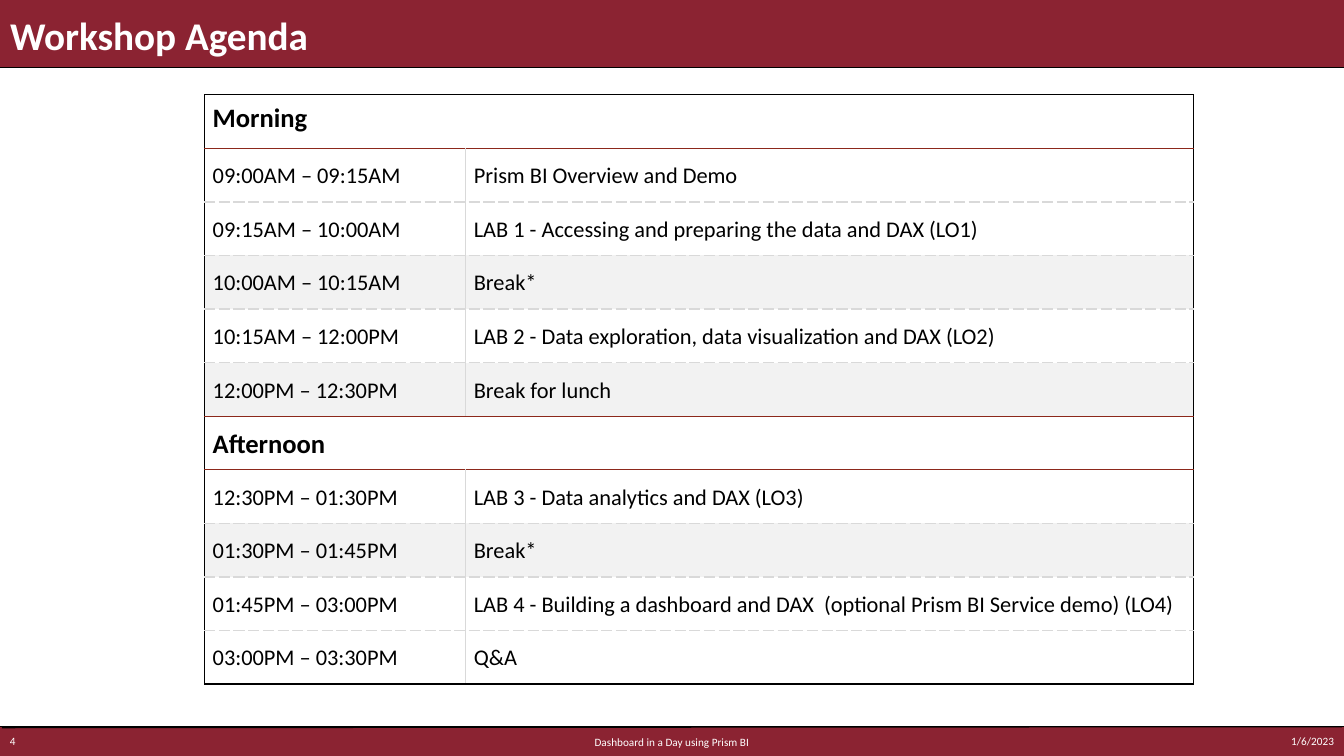
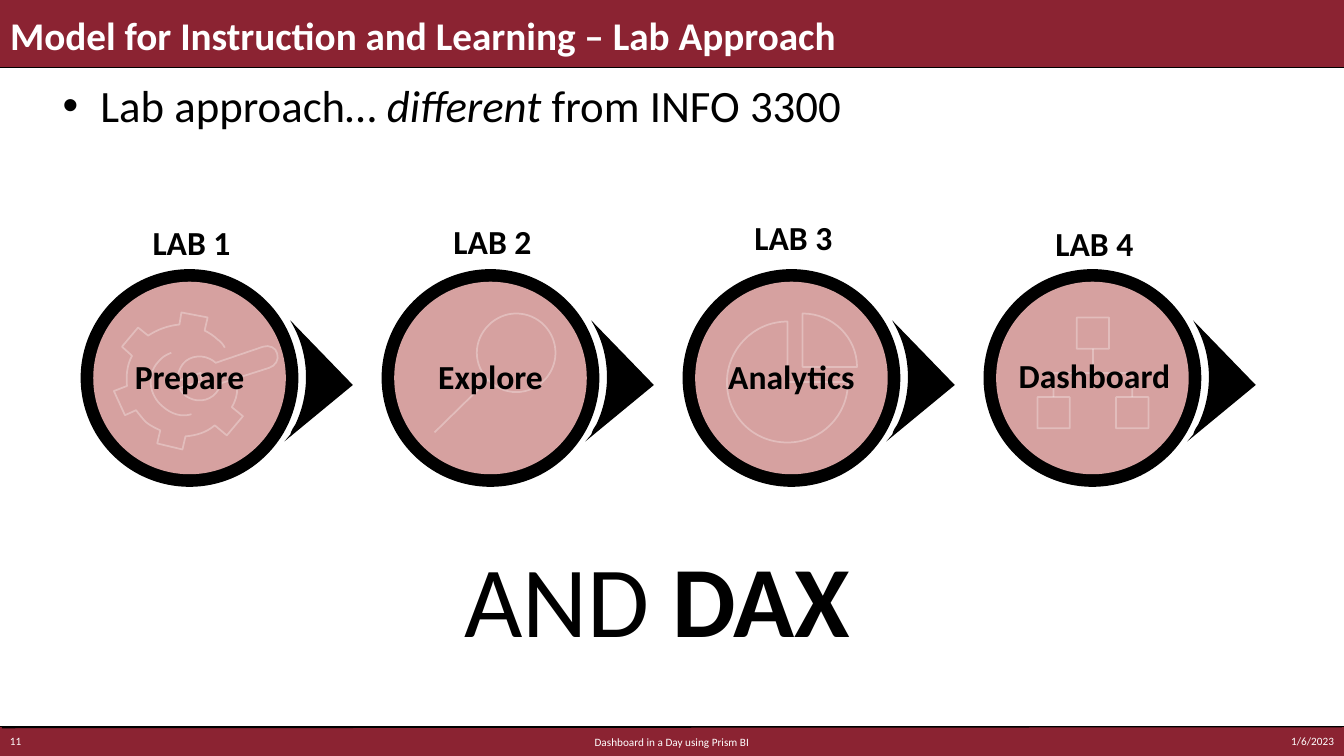
from lxml.etree import SubElement
from pptx import Presentation
from pptx.dml.color import RGBColor
from pptx.enum.shapes import MSO_CONNECTOR, MSO_SHAPE
from pptx.enum.text import MSO_ANCHOR, MSO_AUTO_SIZE, PP_ALIGN
from pptx.oxml import parse_xml
from pptx.oxml.ns import nsdecls, qn
from pptx.util import Inches, Pt

CRIMSON = RGBColor(0x8B, 0x23, 0x32)
RUST = RGBColor(0x8C, 0x28, 0x1B)
PINK = RGBColor(0xD6, 0xA1, 0xA0)
LIGHT = RGBColor(0xF2, 0xF2, 0xF2)
GREY = RGBColor(0xD9, 0xD9, 0xD9)
BLACK = RGBColor(0, 0, 0)
WHITE = RGBColor(0xFF, 0xFF, 0xFF)
FONT = "Calibri"
W, H = 13.33, 7.5
HEAD_H, FOOT_Y = 0.67, 7.21

prs = Presentation()
prs.slide_width, prs.slide_height = Inches(W), Inches(H)
master = prs.slide_master


def add_text(s, box, runs, size, color=BLACK, align=PP_ALIGN.CENTER, anchor=MSO_ANCHOR.TOP):
    """Add a one-paragraph text box; runs are (text, bold) pairs."""
    sp = s.shapes.add_textbox(*map(Inches, box))
    tf = sp.text_frame
    tf.word_wrap = True
    tf.vertical_anchor = anchor
    p = tf.paragraphs[0]
    p.alignment = align
    for text, bold in runs:
        r = p.add_run()
        r.text = text
        r.font.name, r.font.size, r.font.bold = FONT, Pt(size), bold
        r.font.color.rgb = color
    return sp


def add_outline(s, paths, dx=0, close=False):
    """Draw paths in inches; a 2-tuple is a line, a 6-tuple a cubic curve."""
    builder = None
    for path in paths:
        points = [(Inches(seg[k] + dx), Inches(seg[k + 1]))
                  for seg in path for k in range(0, len(seg), 2)]
        if builder is None:
            builder = s.shapes.build_freeform(*points[0])
        else:
            builder.move_to(*points[0])
        builder.add_line_segments(points[1:], close=close)
    sp = builder.convert_to_shape()
    sp.shadow.inherit = False
    # Turn each run of three control points into one curve
    steps = iter(sp.element.xpath(".//a:path/a:moveTo | .//a:path/a:lnTo"))
    for seg in (seg for path in paths for seg in path):
        step = next(steps)
        if len(seg) == 6:
            step.tag_name = None
            curve = parse_xml(f'<a:cubicBezTo {nsdecls("a")}/>')
            step.addprevious(curve)
            for part in (step, next(steps), next(steps)):
                curve.append(part[0])
                part.getparent().remove(part)
    return sp


# Titles, page numbers and dates
title = master.placeholders[0]
title.left, title.top, title.width, title.height = map(Inches, (0, 0.02, W, 0.65))
slides = []
for layout, heading, number in ((5, "Workshop Agenda", "4"),
                                (1, "Model for Instruction and Learning – Lab Approach", "11")):
    s = prs.slides.add_slide(prs.slide_layouts[layout])
    slides.append(s)
    tf = s.shapes.title.text_frame
    tf.text = heading
    tf.auto_size = MSO_AUTO_SIZE.NONE
    tf.vertical_anchor = MSO_ANCHOR.MIDDLE
    p = tf.paragraphs[0]
    p.alignment = PP_ALIGN.LEFT
    font = p.runs[0].font
    font.name, font.size, font.bold = FONT, Pt(28), True
    font.color.rgb = WHITE
    for x, w, text, align in ((0, 0.64, number, PP_ALIGN.LEFT),
                              (W - 1.11, 1.11, "1/6/2023", PP_ALIGN.RIGHT)):
        add_text(s, (x, FOOT_Y, w, 0.29), [(text, False)], 8, WHITE, align, MSO_ANCHOR.MIDDLE)
agenda, approach = slides

# Bands, rules and footer, moved to the master
shared = []
for x, y, w, h in ((-0.01, -0.01, W + 0.02, HEAD_H + 0.01), (0, FOOT_Y, W, 0.31)):
    sp = agenda.shapes.add_shape(MSO_SHAPE.RECTANGLE, *map(Inches, (x, y, w, h)))
    sp.shadow.inherit = False
    sp.fill.solid()
    sp.fill.fore_color.rgb = CRIMSON
    sp.line.fill.background()
    shared.append(sp)
for x1, y1, x2, y2, width in ((-0.01, FOOT_Y, W, FOOT_Y, 1),
                              (-0.01, HEAD_H, W, HEAD_H, 1),
                              (0.02, 7.22, W - 0.02, FOOT_Y, 0.75)):
    rule = agenda.shapes.add_connector(MSO_CONNECTOR.STRAIGHT, *map(Inches, (x1, y1, x2, y2)))
    rule.line.color.rgb = BLACK
    rule.line.width = Pt(width)
    SubElement(rule.element.spPr, qn("a:effectLst"))
    shared.append(rule)
shared.append(add_text(agenda, (4.33, 7.24, 4.67, 0.24),
                       [("Dashboard in a Day using Prism BI", False)], 8, WHITE,
                       anchor=MSO_ANCHOR.MIDDLE))
for n, sp in enumerate(shared):
    sp.element.xpath(".//p:cNvPr")[0].set("id", str(20 + n))
    master.shapes.element.insert(2 + n, sp.element)

# Agenda table: a row with one entry is a heading across both columns
ROWS = [
    ("Morning",),
    ("09:00AM – 09:15AM", "Prism BI Overview and Demo"),
    ("09:15AM – 10:00AM", "LAB 1 - Accessing and preparing the data and DAX (LO1)"),
    ("10:00AM – 10:15AM", "Break*"),
    ("10:15AM – 12:00PM", "LAB 2 - Data exploration, data visualization and DAX (LO2)"),
    ("12:00PM – 12:30PM", "Break for lunch"),
    ("Afternoon",),
    ("12:30PM – 01:30PM", "LAB 3 - Data analytics and DAX (LO3)"),
    ("01:30PM – 01:45PM", "Break*"),
    ("01:45PM – 03:00PM", "LAB 4 - Building a dashboard and DAX  (optional Prism BI Service demo) (LO4)"),
    ("03:00PM – 03:30PM", "Q&A"),
]
COLS = (2.59, 7.22)
table = agenda.shapes.add_table(len(ROWS), 2, Inches(2.03), Inches(0.94),
                                Inches(sum(COLS)), Inches(5.85)).table
table.first_row = table.horz_banding = False
for col, width in zip(table.columns, COLS):
    col.width = Inches(width)

# Horizontal rules, one above each row and one below the last
edges = [(BLACK, "solid")]
for above, below in zip(ROWS, ROWS[1:]):
    edges.append((RUST, "solid") if 1 in (len(above), len(below)) else (GREY, "dash"))
edges.append((BLACK, "solid"))

for i, row in enumerate(ROWS):
    heading = len(row) == 1
    if heading:
        table.cell(i, 0).merge(table.cell(i, 1))
    for j, text in enumerate(row):
        cell = table.cell(i, j)
        cell.margin_left = cell.margin_right = Inches(0.08)
        cell.vertical_anchor = MSO_ANCHOR.MIDDLE if i else MSO_ANCHOR.TOP
        if row[-1].startswith("Break"):
            cell.fill.solid()
            cell.fill.fore_color.rgb = LIGHT
        else:
            cell.fill.background()
        cell.text_frame.text = text
        p = cell.text_frame.paragraphs[0]
        p.line_spacing = 1.07
        font = p.runs[0].font
        font.name, font.size, font.bold = FONT, Pt(19 if heading else 16), heading
        font.color.rgb = BLACK
        outer, inner = (BLACK, "solid"), (BLACK if heading else GREY, "solid")
        sides = (("L", inner if j else outer), ("R", outer if j else inner),
                 ("T", edges[i]), ("B", edges[i + 1]))
        tcPr = cell._tc.get_or_add_tcPr()
        for k, (side, (color, dash)) in enumerate(sides):
            tcPr.insert(k, parse_xml(
                f'<a:ln{side} {nsdecls("a")} w="12700"><a:solidFill><a:srgbClr val="{color}"/>'
                f'</a:solidFill><a:prstDash val="{dash}"/></a:ln{side}>'))
    if heading:
        table.cell(i, 1).fill.background()

# Lab approach bullet
body = approach.placeholders[1]
body.left, body.top, body.width, body.height = map(Inches, (0.52, 0.72, 12.24, 6.45))
p = body.text_frame.paragraphs[0]
p.space_before = Pt(0)
for text, italic in (("Lab approach… ", False), ("different", True), (" from INFO 3300", False)):
    r = p.add_run()
    r.text = text
    r.font.name, r.font.size, r.font.italic = FONT, Pt(32), italic
    r.font.color.rgb = BLACK

# Icon outlines
GEAR = [
    [(2.35, 3.85), (2.36, 3.91, 2.33, 3.99, 2.3, 4.04), (2.41, 4.13), (2.25, 4.32),
     (2.13, 4.22), (2.05, 4.29, 1.95, 4.32, 1.84, 4.33), (1.81, 4.46), (1.56, 4.4),
     (1.59, 4.27), (1.55, 4.25, 1.5, 4.23, 1.45, 4.19), (1.42, 4.16, 1.38, 4.11, 1.35, 4.07),
     (1.24, 4.12), (1.13, 3.88), (1.26, 3.83), (1.25, 3.73, 1.26, 3.62, 1.31, 3.53),
     (1.21, 3.44), (1.37, 3.25), (1.47, 3.33), (1.56, 3.27, 1.67, 3.23, 1.78, 3.22),
     (1.8, 3.1), (2.06, 3.15), (2.03, 3.28), (2.07, 3.3, 2.12, 3.33, 2.16, 3.37),
     (2.18, 3.38, 2.21, 3.41, 2.23, 3.45)],
    [(1.7, 3.5), (1.65, 3.52, 1.61, 3.54, 1.57, 3.59), (1.45, 3.72, 1.48, 3.92, 1.61, 4.03),
     (1.7, 4.11, 1.8, 4.14, 1.9, 4.11)],
    [(2.2, 3.8), (2.67, 3.65), (2.73, 3.63, 2.77, 3.57, 2.75, 3.51),
     (2.74, 3.45, 2.67, 3.42, 2.61, 3.44), (2.14, 3.6), (2.12, 3.58, 2.1, 3.57, 2.08, 3.56),
     (1.98, 3.51, 1.84, 3.54, 1.79, 3.65), (1.77, 3.69, 1.76, 3.73, 1.76, 3.78),
     (1.99, 3.7), (2, 3.78), (1.78, 3.85), (1.8, 3.89, 1.83, 3.93, 1.88, 3.95),
     (1.98, 4, 2.11, 3.97, 2.17, 3.86), (2.18, 3.84, 2.19, 3.82, 2.2, 3.8)],
]
LENS = [
    [(5.12, 3.89), (5.34, 3.89, 5.51, 3.71, 5.51, 3.5), (5.51, 3.29, 5.34, 3.11, 5.12, 3.11),
     (4.91, 3.11, 4.73, 3.29, 4.73, 3.5), (4.73, 3.71, 4.91, 3.89, 5.12, 3.89)],
    [(4.31, 4.29), (4.84, 3.77)],
]
PIE = [
    [(8.41, 3.79), (8.41, 4.13, 8.14, 4.39, 7.81, 4.39), (7.47, 4.39, 7.21, 4.13, 7.21, 3.79),
     (7.21, 3.47, 7.47, 3.19, 7.81, 3.19), (7.81, 3.79), (8.41, 3.79)],
    [(8.5, 3.64), (8.5, 3.35, 8.26, 3.11, 7.96, 3.11), (7.96, 3.64), (8.5, 3.64)],
]
TREE = [[(x, y), (x + 0.32, y), (x + 0.32, y + 0.31), (x, y + 0.31), (x, y)]
        for x, y in ((10.29, 3.94), (11.07, 3.94), (10.68, 3.15))]
TREE += [[(10.84, 3.46), (10.84, 3.7)],
         [(11.23, 3.94), (11.23, 3.7), (10.45, 3.7), (10.45, 3.94)]]
ARROW = [[(2.88, 3.18), (3.5, 3.82), (2.82, 4.38), (2.88, 4.31),
          (2.89, 4.27, 2.91, 4.24, 2.93, 4.21), (3.09, 3.87, 3.06, 3.49, 2.89, 3.2)]]

# Four labs in equal columns
PITCH, CENTER_X, CENTER_Y = 2.985, 1.88, 3.75
LABS = (("Prepare", GEAR, 0, 3.48, 2.15), ("Explore", LENS, 0, 3.48, 2.14),
        ("Analytics", PIE, 0, 3.48, 2.1), ("Dashboard", TREE, 0.02, 3.47, 2.16))
for i, (name, icon, name_dx, name_y, label_y) in enumerate(LABS):
    cx = CENTER_X + i * PITCH
    for size, color in ((2.16, BLACK), (1.91, PINK)):
        disc = approach.shapes.add_shape(
            MSO_SHAPE.OVAL, *map(Inches, (cx - size / 2, CENTER_Y - size / 2, size, size)))
        disc.shadow.inherit = False
        disc.fill.solid()
        disc.fill.fore_color.rgb = color
        disc.line.fill.background()
    arrow = add_outline(approach, ARROW, i * PITCH, close=True)
    arrow.fill.solid()
    arrow.fill.fore_color.rgb = BLACK
    arrow.line.fill.background()
    sketch = add_outline(approach, icon)
    sketch.fill.background()
    sketch.line.color.rgb = WHITE
    sketch.line.width = Pt(1.25)
    white = sketch.element.xpath(".//a:ln//a:srgbClr")[0]
    SubElement(white, qn("a:alpha")).set("val", "30000")
    for text, dx, y in ((name, name_dx, name_y), (f"LAB {i + 1}", 0.02, label_y)):
        add_text(approach, (cx + dx - 0.95, y, 1.9, 0.5), [(text, True)], 24)

# Closing words
add_text(approach, (2.61, 5.28, 7.82, 1.31), [("AND ", False), ("DAX", True)], 72)

prs.save("out.pptx")
